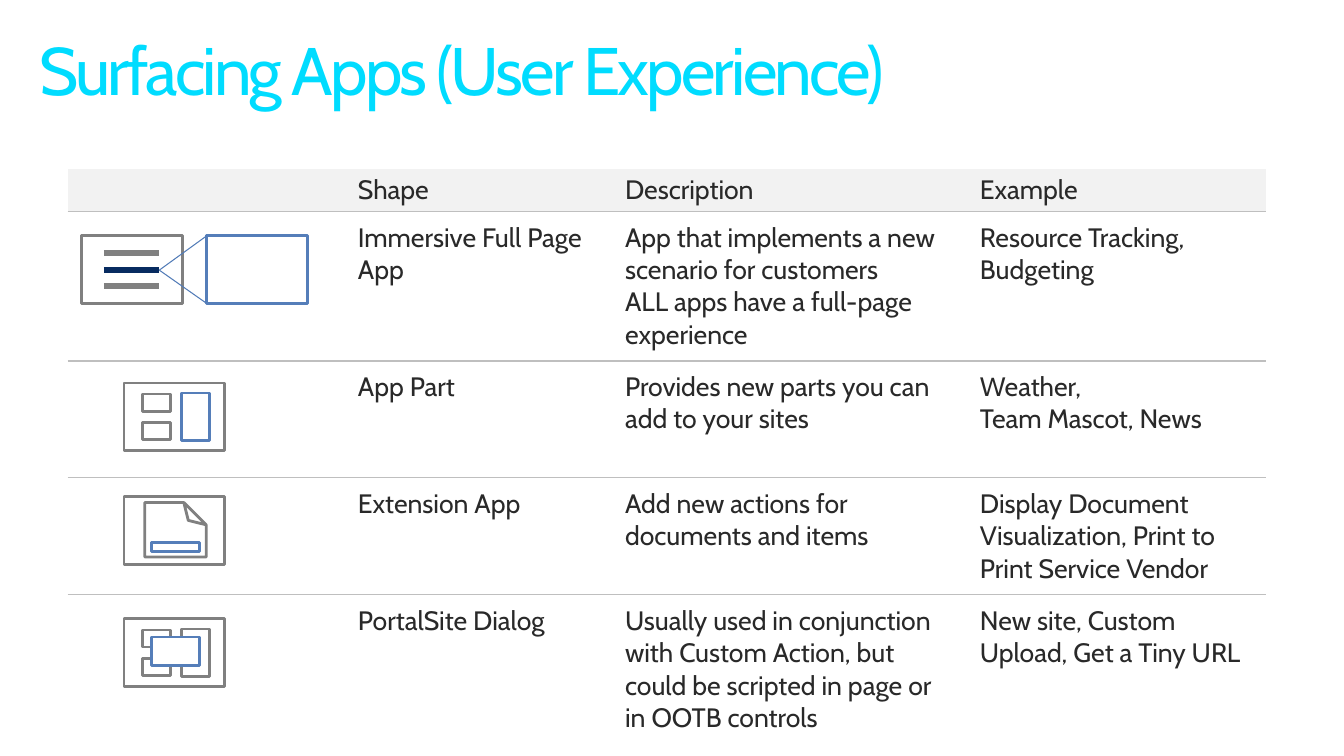
from dataclasses import dataclass

from lxml import etree
from pptx import Presentation
from pptx import util as u
from pptx.dml.color import RGBColor
from pptx.enum import shapes, text
from pptx.oxml import ns


@dataclass(frozen=True)
class Theme:
    font: str = "Cabin"
    title_size: int = 48
    table_size: int = 19
    title: str = "00DCFF"
    ink: str = "292929"
    header: str = "F2F2F2"
    rule: str = "BFBFBF"
    gray: str = "808080"
    blue: str = "557EB9"
    navy: str = "072B60"
    ray: str = "517BB7"
    white: str = "FFFFFF"


THEME = Theme()
RECT = shapes.MSO_SHAPE.RECTANGLE

COLUMN_WIDTHS = (2.75, 2.65, 3.52, 2.97)
ROW_HEIGHTS = (0.42, 1.48, 1.16, 1.16, 1.65)
# A newline starts a paragraph, a vertical bar breaks a line
ROWS = (
    ("", "Shape", "Description", "Example"),
    ("", "Immersive Full Page App",
     "App that implements a new scenario for customers\n"
     "ALL apps have a full-page experience",
     "Resource Tracking, Budgeting"),
    ("", "App Part", "Provides new parts you can add to your sites",
     "Weather, |Team Mascot, News"),
    ("", "Extension App", "Add new actions for documents and items",
     "Display Document Visualization, Print to Print Service Vendor"),
    ("", "PortalSite Dialog",
     "Usually used in conjunction with Custom Action, but could be scripted "
     "in page or in OOTB controls",
     "New site, Custom Upload, Get a Tiny URL"),
)


def rgb(color):
    return RGBColor.from_string(color)


def add_run(paragraph, words, size, color):
    run = paragraph.add_run()
    run.text = words
    run.font.name = THEME.font
    run.font.size = u.Pt(size)
    run.font.color.rgb = rgb(color)
    return run


def set_title(slide, words):
    title = slide.shapes.title
    title.left, title.top = u.Inches(0.29), u.Inches(0.32)
    title.width, title.height = u.Inches(12.74), u.Inches(0.98)
    frame = title.text_frame
    frame.word_wrap = True
    frame.auto_size = text.MSO_AUTO_SIZE.NONE
    frame.vertical_anchor = text.MSO_ANCHOR.TOP
    paragraph = frame.paragraphs[0]
    paragraph.alignment = text.PP_ALIGN.LEFT
    paragraph.line_spacing = 0.9
    run = add_run(paragraph, words, THEME.title_size, THEME.title)
    run.font._element.set("spc", "-200")


def set_borders(cell, sides):
    """Draw the given sides as thin rules and hide the others."""
    properties = cell._tc.get_or_add_tcPr()
    for index, side in enumerate("LRTB"):
        line = etree.Element(ns.qn(f"a:ln{side}"), w=str(u.Pt(1)))
        if side in sides:
            fill = etree.SubElement(line, ns.qn("a:solidFill"))
            etree.SubElement(fill, ns.qn("a:srgbClr"), val=THEME.rule)
        else:
            etree.SubElement(line, ns.qn("a:noFill"))
        properties.insert(index, line)


def fill_cell(cell, words, is_header):
    cell.margin_left = cell.margin_right = u.Inches(0.13)
    cell.margin_top = cell.margin_bottom = u.Inches(0.05 if is_header else 0.1)
    if is_header:
        cell.fill.solid()
        cell.fill.fore_color.rgb = rgb(THEME.header)
    else:
        cell.fill.background()
    set_borders(cell, "B" if is_header else "TB")
    if not words:
        return
    frame = cell.text_frame
    for number, part in enumerate(words.split("\n")):
        paragraph = frame.add_paragraph() if number else frame.paragraphs[0]
        for position, line in enumerate(part.split("|")):
            if position:
                paragraph.add_line_break()
            add_run(paragraph, line, THEME.table_size, THEME.ink)


def add_app_table(slide):
    table = slide.shapes.add_table(
        len(ROWS), len(COLUMN_WIDTHS), u.Inches(0.67), u.Inches(1.68),
        u.Inches(sum(COLUMN_WIDTHS)), u.Inches(sum(ROW_HEIGHTS))).table
    table.first_row = table.horz_banding = False
    for column, width in zip(table.columns, COLUMN_WIDTHS):
        column.width = u.Inches(width)
    for row, height, words in zip(table.rows, ROW_HEIGHTS, ROWS):
        row.height = u.Inches(height)
        for cell, content in zip(row.cells, words):
            fill_cell(cell, content, words is ROWS[0])


def add_box(parent, left, top, width, height, color=THEME.gray, fill=None, kind=RECT):
    box = parent.shapes.add_shape(kind, *map(u.Inches, (left, top, width, height)))
    box.shadow.inherit = False
    box.line.color.rgb = rgb(color)
    box.line.width = u.Pt(2)
    if fill:
        box.fill.solid()
        box.fill.fore_color.rgb = rgb(fill)
    else:
        box.fill.background()
    return box


def set_fold(document, share):
    """Set the folded corner's size, which has no entry in adjustments."""
    geometry = document._element.spPr.find(ns.qn("a:prstGeom"))
    for guides in geometry.findall(ns.qn("a:avLst")):
        geometry.remove(guides)
    guides = etree.SubElement(geometry, ns.qn("a:avLst"))
    etree.SubElement(guides, ns.qn("a:gd"), name="adj",
                     fmla=f"val {round(share * 100000)}")


def add_line(parent, start, end, color, width):
    line = parent.shapes.add_connector(
        shapes.MSO_CONNECTOR.STRAIGHT, *map(u.Inches, (*start, *end)))
    line.line.color.rgb = rgb(color)
    line.line.width = u.Pt(width)
    etree.SubElement(line._element.spPr, ns.qn("a:effectLst"))


def add_window(parent, top, left=1.23, **style):
    add_box(parent, left, top, 1, 0.67, **style)


def add_small_parts(parent, window_top):
    for offset in (0.11, 0.39):
        add_box(parent, 1.41, window_top + offset, 0.28, 0.17)


def draw_extension_icon(slide):
    icon = slide.shapes.add_group_shape()
    add_window(icon, 4.93)
    document = add_box(icon, 1.47, 4.95, 0.54, 0.61,
                       kind=shapes.MSO_SHAPE.FOLDED_CORNER)
    set_fold(document, 0.41)
    document.rotation = 270
    add_box(icon, 1.5, 5.38, 0.48, 0.09, THEME.blue, THEME.white)


def draw_app_part_icon(slide):
    icon = slide.shapes.add_group_shape()
    add_window(icon, 3.8)
    add_small_parts(icon, 3.8)
    add_box(icon, 1.8, 3.9, 0.28, 0.47, THEME.blue, THEME.white)


def draw_full_page_icon(slide):
    icon = slide.shapes.add_group_shape()
    add_window(icon, 2.34, left=2.05, color=THEME.blue, fill=THEME.white)
    add_window(icon, 2.34, left=0.81)
    for y, color in ((2.51, THEME.gray), (2.68, THEME.navy), (2.84, THEME.gray)):
        add_line(icon, (1.03, y), (1.58, y), color, 4)
    for corner_y in (2.34, 3.01):
        add_line(icon, (1.58, 2.68), (2.05, corner_y), THEME.ray, 0.75)


def draw_dialog_icon(slide):
    icon = slide.shapes.add_group_shape()
    add_window(icon, 6.14)
    add_small_parts(icon, 6.14)
    add_box(icon, 1.8, 6.24, 0.28, 0.47)
    add_box(slide, 1.5, 6.32, 0.48, 0.28, THEME.blue, THEME.white)


def main():
    deck = Presentation()
    deck.slide_width, deck.slide_height = u.Inches(13.33), u.Inches(7.5)
    slide = deck.slides.add_slide(deck.slide_layouts.get_by_name("Title Only"))
    set_title(slide, "Surfacing Apps (User Experience)")
    add_app_table(slide)
    # Icons in the first column
    for draw_icon in (draw_extension_icon, draw_app_part_icon,
                      draw_full_page_icon, draw_dialog_icon):
        draw_icon(slide)
    deck.save("out.pptx")


if __name__ == "__main__":
    main()
